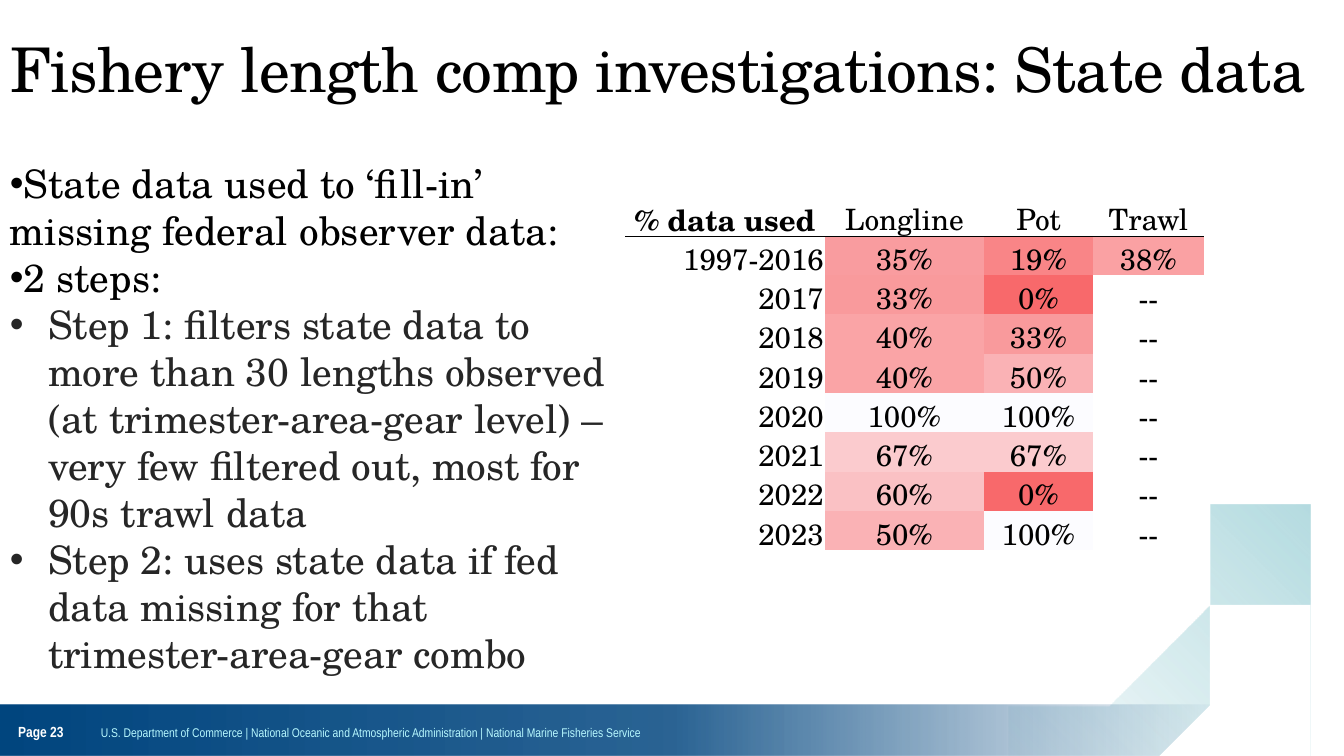
from lxml import etree
from pptx import Presentation
from pptx.dml.color import RGBColor
from pptx.enum.shapes import MSO_SHAPE
from pptx.enum.text import MSO_ANCHOR, PP_ALIGN
from pptx.oxml import parse_xml
from pptx.oxml.ns import nsdecls, qn
from pptx.util import Inches, Pt

BLACK = RGBColor(0x00, 0x00, 0x00)
CHARCOAL = RGBColor(0x26, 0x26, 0x26)
WHITE = RGBColor(0xFF, 0xFF, 0xFF)
NAVY = RGBColor(0x00, 0x46, 0x7F)
TEAL = RGBColor(0x84, 0xC4, 0xCC)
PALE_CYAN = RGBColor(0xB7, 0xF8, 0xFF)
SCALE_LOW = RGBColor(0xF8, 0x69, 0x6B)
SCALE_HIGH = RGBColor(0xFC, 0xFC, 0xFF)

SERIF = "TeX Gyre Schola"
NARROW = "Arial Narrow"
PLAIN_TABLE_STYLE = "{2D5ABB26-0587-4C30-8999-92F81FD0307C}"

FOOTER = ("U.S. Department of Commerce | National Oceanic and Atmospheric "
          "Administration | National Marine Fisheries Service")

# Text, outline level
BULLETS = [
    ("State data used to ‘fill-in’ missing federal observer data:", 0),
    ("2 steps:", 0),
    ("Step 1: filters state data to more than 30 lengths observed "
     "(at trimester-area-gear level) – very few filtered out, most for "
     "90s trawl data", 1),
    ("Step 2: uses state data if fed data missing for that "
     "trimester-area-gear combo", 1),
]

COLUMN_WIDTHS = [1.98, 1.58, 1.08, 1.1]
HEADINGS = ["% data used", "Longline", "Pot", "Trawl"]
DATA_USED = [
    ("1997-2016", 35, 19, 38),
    ("2017", 33, 0, None),
    ("2018", 40, 33, None),
    ("2019", 40, 50, None),
    ("2020", 100, 100, None),
    ("2021", 67, 67, None),
    ("2022", 60, 0, None),
    ("2023", 50, 100, None),
]


def scale_color(percent):
    """Colour between the two ends of the red-to-white scale."""
    return RGBColor(*(round(low + (high - low) * percent / 100)
                      for low, high in zip(SCALE_LOW, SCALE_HIGH)))


def bezier(points, steps=40):
    """Points along a cubic curve, without its start."""
    curve = []
    for step in range(1, steps + 1):
        t = step / steps
        weights = [(1 - t) ** 3, 3 * t * (1 - t) ** 2, 3 * t * t * (1 - t), t ** 3]
        curve.append(tuple(sum(w * point[axis] for w, point in zip(weights, points))
                           for axis in (0, 1)))
    return curve


class SlideBuilder:
    def __init__(self, slide, font_name):
        self.slide = slide
        self.font_name = font_name

    def format_runs(self, paragraph, size, color, bold=False, font_name=None, spacing=0):
        for run in paragraph.runs:
            run.font.name = font_name or self.font_name
            run.font.size = Pt(size)
            run.font.bold = bold
            run.font.color.rgb = color
            if spacing:
                run.font._element.set("spc", str(round(spacing * 100)))

    def paint(self, shape, color, stops=None, angle=0):
        """Solid fill, or a fade through (position, opacity) stops."""
        shape.shadow.inherit = False
        shape.line.fill.background()
        shape.fill.solid()
        shape.fill.fore_color.rgb = color
        if stops:
            stop_xml = "".join(
                f'<a:gs pos="{position * 1000}"><a:srgbClr val="{color}">'
                f'<a:alpha val="{opacity * 1000}"/></a:srgbClr></a:gs>'
                for position, opacity in stops)
            properties = shape._element.spPr
            properties.replace(properties.find(qn("a:solidFill")), parse_xml(
                f'<a:gradFill {nsdecls("a")} rotWithShape="1"><a:gsLst>{stop_xml}'
                f'</a:gsLst><a:lin ang="{angle * 60000}" scaled="0"/></a:gradFill>'))

    def swoosh(self, start, foot, curve, color, stops=None, angle=0):
        bottom = 7.5
        builder = self.slide.shapes.build_freeform(*start, scale=Inches(1))
        builder.add_line_segments(
            [(start[0], bottom), (foot, bottom), curve[0], *bezier(curve)], close=True)
        self.paint(builder.convert_to_shape(), color, stops, angle)

    def band(self, left, top, width, height, color, stops, angle):
        shape = self.slide.shapes.add_shape(
            MSO_SHAPE.RECTANGLE, Inches(left), Inches(top), Inches(width), Inches(height))
        self.paint(shape, color, stops, angle)

    def text_box(self, left, top, width, height, anchor, insets):
        box = self.slide.shapes.add_textbox(
            Inches(left), Inches(top), Inches(width), Inches(height))
        frame = box.text_frame
        frame.word_wrap = True
        frame.vertical_anchor = anchor
        frame.margin_left = frame.margin_right = Inches(insets[0])
        frame.margin_top = frame.margin_bottom = Inches(insets[1])
        return frame

    def footer_text(self, left, top, width, height, text, size, color, bold=False):
        frame = self.text_box(left, top, width, height, MSO_ANCHOR.MIDDLE, (0, 0))
        frame.text = text
        self.format_runs(frame.paragraphs[0], size, color, bold, NARROW)

    def title(self, text):
        title = self.slide.shapes.title
        title.left, title.top = Inches(0), Inches(0.4)
        title.width, title.height = Inches(13.33), Inches(1.45)
        frame = title.text_frame
        frame.text = text
        frame.word_wrap = True
        frame.vertical_anchor = MSO_ANCHOR.TOP
        frame.margin_top = 0
        paragraph = frame.paragraphs[0]
        paragraph.alignment = PP_ALIGN.LEFT
        paragraph.line_spacing = 0.88
        self.format_runs(paragraph, 44, BLACK, spacing=-0.5)

    def bullets(self, left, top, width, height, items):
        frame = self.text_box(left, top, width, height, MSO_ANCHOR.TOP, (0.1, 0.09))
        for index, (text, level) in enumerate(items):
            paragraph = frame.add_paragraph() if index else frame.paragraphs[0]
            paragraph.text = text
            paragraph.level = level
            paragraph.line_spacing = Pt(33.6)
            properties = paragraph._element.get_or_add_pPr()
            hanging = Inches(0.38) * level
            properties.set("marL", str(hanging))
            properties.set("indent", str(-hanging))
            etree.SubElement(properties, qn("a:buFont")).set("typeface", "Arial")
            etree.SubElement(properties, qn("a:buChar")).set("char", "•")
            self.format_runs(paragraph, 28, CHARCOAL if level else BLACK,
                             spacing=0 if level else 0.1)

    def cell(self, cell, text, alignment, bold=False, fill=None, anchor=MSO_ANCHOR.BOTTOM):
        cell.text = text
        cell.vertical_anchor = anchor
        cell.margin_left = cell.margin_right = cell.margin_top = Inches(0.01)
        cell.margin_bottom = 0
        if fill is None:
            cell.fill.background()
        else:
            cell.fill.solid()
            cell.fill.fore_color.rgb = fill
        paragraph = cell.text_frame.paragraphs[0]
        paragraph.alignment = alignment
        self.format_runs(paragraph, 21, BLACK, bold)

    def percent_table(self, left, top, row_height, widths, headings, rows):
        row_count = len(rows) + 1
        table = self.slide.shapes.add_table(
            row_count, len(widths), Inches(left), Inches(top),
            Inches(sum(widths)), Inches(row_height * row_count)).table
        table.first_row = table.horz_banding = False
        table._tbl.tblPr.find(qn("a:tableStyleId")).text = PLAIN_TABLE_STYLE
        for column, width in zip(table.columns, widths):
            column.width = Inches(width)
        for row in table.rows:
            row.height = Inches(row_height)

        # Heading row with a rule below
        for index, heading in enumerate(headings):
            cell = table.cell(0, index)
            self.cell(cell, heading, PP_ALIGN.CENTER, bold=index == 0)
            cell._tc.get_or_add_tcPr().insert(0, parse_xml(
                f'<a:lnB {nsdecls("a")} w="6350"><a:solidFill>'
                f'<a:srgbClr val="{BLACK}"/></a:solidFill></a:lnB>'))

        # Years and shaded percentages
        for row_index, (years, *percents) in enumerate(rows, 1):
            self.cell(table.cell(row_index, 0), years, PP_ALIGN.RIGHT)
            for column_index, percent in enumerate(percents, 1):
                cell = table.cell(row_index, column_index)
                if percent is None:
                    self.cell(cell, "--", PP_ALIGN.CENTER, anchor=MSO_ANCHOR.MIDDLE)
                else:
                    self.cell(cell, f"{percent}%", PP_ALIGN.CENTER,
                              fill=scale_color(percent))


def main():
    presentation = Presentation()
    presentation.slide_width = Inches(13.33)
    presentation.slide_height = Inches(7.5)
    slide = presentation.slides.add_slide(presentation.slide_layouts[5])
    builder = SlideBuilder(slide, SERIF)

    # Background swooshes and footer
    builder.swoosh((13.33, 1.22), 10.09,
                   [(10.35, 7.41), (11.72, 6.78), (12.83, 4.54), (13.29, 1.6)],
                   TEAL, [(0, 0), (99, 100)], 315)
    builder.band(0, 6.99, 12.19, 0.51, NAVY, [(0, 0), (45, 83), (100, 100)], 180)
    builder.footer_text(1, 6.97, 9.77, 0.59, FOOTER, 9, PALE_CYAN)
    builder.footer_text(0.18, 6.95, 0.82, 0.61, "Page 23", 10.5, WHITE, bold=True)
    builder.swoosh((13.33, 1.09), 11.37,
                   [(11.52, 7.41), (12.35, 6.76), (13.03, 4.47), (13.3, 1.47)], WHITE)

    # Title, bullets and table
    builder.title("Fishery length comp investigations: State data")
    builder.bullets(0, 1.49, 6.2, 4.76, BULLETS)
    builder.percent_table(6.2, 1.95, 0.39, COLUMN_WIDTHS, HEADINGS, DATA_USED)

    presentation.save("out.pptx")


if __name__ == "__main__":
    main()
